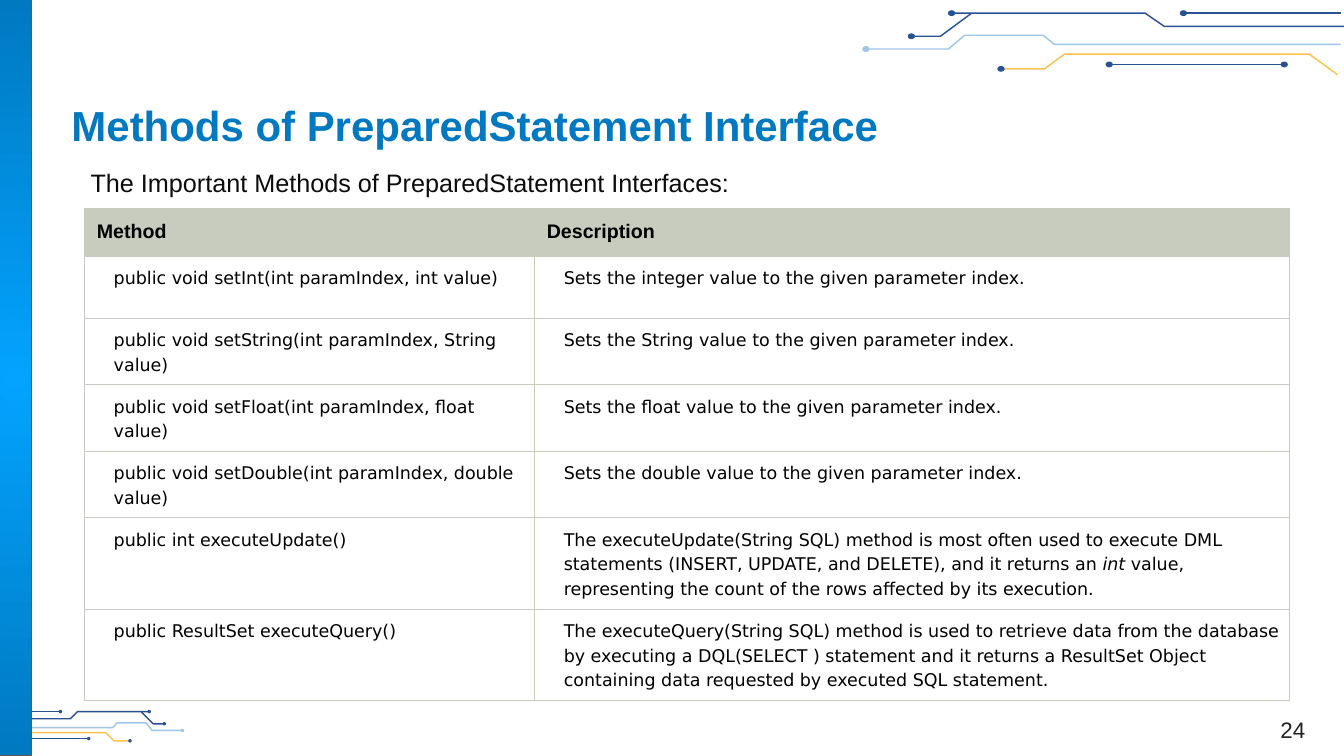
from dataclasses import dataclass

from lxml import etree
from pptx import Presentation
from pptx.dml.color import RGBColor
from pptx.enum.shapes import MSO_CONNECTOR, MSO_SHAPE
from pptx.enum.text import MSO_ANCHOR, PP_ALIGN
from pptx.oxml.ns import qn
from pptx.util import Pt

RECT, OVAL, STRAIGHT = MSO_SHAPE.RECTANGLE, MSO_SHAPE.OVAL, MSO_CONNECTOR.STRAIGHT
TOP, MIDDLE, BOTTOM = MSO_ANCHOR.TOP, MSO_ANCHOR.MIDDLE, MSO_ANCHOR.BOTTOM
LEFT, CENTER = PP_ALIGN.LEFT, PP_ALIGN.CENTER


@dataclass(frozen=True)
class Theme:
    blue: str = "0079C0"
    bright: str = "03A3FF"
    navy: str = "285293"
    sky: str = "9FC5E8"
    gold: str = "FEC14F"
    sage: str = "C7CCBE"
    edge: str = "595959"
    white: str = "FFFFFF"
    black: str = "000000"
    ink: str = "0C0C0C"
    number: str = "222222"
    font: str = "Arial"
    cell_font: str = "DejaVu Sans"
    title_size: float = 30
    lead_size: float = 18
    number_size: float = 16
    header_size: float = 14
    cell_size: float = 12.5
    thin: float = 0.75
    trace: float = 1.03


def rgb(color):
    return RGBColor.from_string(color)


class Deck:
    def __init__(self, prs, theme):
        self.theme = theme
        self.s = prs.slides.add_slide(prs.slide_layouts[6])

    def outline(self, sp, color, width):
        sp.line.color.rgb = rgb(color)
        sp.line.width = Pt(width)

    def paragraph(self, tf, text, size, color, bold=False, font=None):
        """Fill the first paragraph; words between asterisks are italic."""
        p = tf.paragraphs[0]
        p.font.name = font or self.theme.font
        p.font.size = Pt(size)
        p.font.bold = bold
        p.font.color.rgb = rgb(color)
        for i, part in enumerate(text.split("*")):
            r = p.add_run()
            r.text = part
            if i % 2:
                r.font.italic = True
        return p

    def text(self, box, text, size, color, bold=False, anchor=TOP, align=LEFT, pad=7.2):
        tf = self.s.shapes.add_textbox(*map(Pt, box)).text_frame
        tf.word_wrap = True
        tf.vertical_anchor = anchor
        tf.margin_left = tf.margin_right = Pt(7.2)
        tf.margin_top = tf.margin_bottom = Pt(pad)
        p = self.paragraph(tf, text, size, color, bold)
        p.alignment = align
        return p

    def side_bar(self, box):
        sp = self.s.shapes.add_shape(RECT, *map(Pt, box))
        sp.shadow.inherit = False
        self.outline(sp, self.theme.edge, self.theme.thin)
        sp.fill.gradient()
        for stop, color in zip(sp.fill.gradient_stops, (self.theme.bright, self.theme.blue)):
            stop.color.rgb = rgb(color)
        # Radial gradient from the centre
        grad = sp.element.spPr.find(qn("a:gradFill"))
        grad.remove(grad.find(qn("a:lin")))
        radial = etree.SubElement(grad, qn("a:path"), {"path": "circle"})
        etree.SubElement(radial, qn("a:fillToRect"), dict.fromkeys("ltrb", "50000"))

    def dot(self, center, size, color):
        (x, y), (w, h) = center, size
        sp = self.s.shapes.add_shape(OVAL, Pt(x - w / 2), Pt(y - h / 2), Pt(w), Pt(h))
        sp.shadow.inherit = False
        sp.fill.solid()
        sp.fill.fore_color.rgb = rgb(color)
        self.outline(sp, color, self.theme.thin)

    def trace(self, color, points, dot_size, dot_color, both_ends=False):
        pts = [(Pt(x), Pt(y)) for x, y in points]
        if len(pts) == 2:
            sp = self.s.shapes.add_connector(STRAIGHT, *pts[0], *pts[1])
            etree.SubElement(sp.element.spPr, qn("a:effectLst"))
        else:
            builder = self.s.shapes.build_freeform(*pts[0], scale=1.0)
            builder.add_line_segments(pts[1:], close=False)
            sp = builder.convert_to_shape()
            sp.shadow.inherit = False
            sp.fill.background()
        self.outline(sp, color, self.theme.trace)
        for end in (points[0], points[-1]) if both_ends else points[-1:]:
            self.dot(end, dot_size, dot_color)

    def cell(self, cell, text, header):
        t = self.theme
        cell.fill.solid()
        cell.fill.fore_color.rgb = rgb(t.sage if header else t.white)
        pad = Pt(8.64 if header else 5.76)
        cell.margin_left = cell.margin_right = cell.margin_top = cell.margin_bottom = pad
        if header:
            self.paragraph(cell.text_frame, text, t.header_size, t.black, True)
        else:
            p = self.paragraph(cell.text_frame, text, t.cell_size, t.black, font=t.cell_font)
            p.line_spacing = 1.2
            p._p.get_or_add_pPr().set("marL", str(Pt(15)))
        tc_pr = cell._tc.get_or_add_tcPr()
        for i, side in enumerate("LRTB"):
            ln = etree.Element(qn(f"a:ln{side}"), {"w": str(Pt(t.thin))})
            fill = etree.SubElement(ln, qn("a:solidFill"))
            etree.SubElement(fill, qn("a:srgbClr"), {"val": t.sage})
            tc_pr.insert(i, ln)

    def table(self, left, top, widths, heights, rows):
        frame = self.s.shapes.add_table(len(rows), len(widths), Pt(left), Pt(top),
                                        Pt(sum(widths)), Pt(sum(heights)))
        tbl = frame.table
        for col, width in zip(tbl.columns, widths):
            col.width = Pt(width)
        for i, (row, height) in enumerate(zip(tbl.rows, heights)):
            row.height = Pt(height)
            for cell, text in zip(row.cells, rows[i]):
                self.cell(cell, text, header=i == 0)


T = Theme()

# Circuit traces: line colour, points, dot colour, dots at both ends
BOTTOM_TRACES = [
    (T.navy, [(2.9, 513.4), (50.4, 513.4), (55.4, 508.3), (106.6, 508.3)], T.navy, False),
    (T.navy, [(100.8, 508.3), (109.4, 517), (117.4, 517)], T.navy, False),
    (T.navy, [(0, 508.3), (43.2, 508.3)], T.navy, False),
    (T.gold, [(0.7, 531.4), (8.6, 523.4), (75.6, 523.4), (81.4, 529.2), (92.9, 529.2)],
     T.navy, False),
    (T.navy, [(15.1, 527.6), (63.4, 527.6)], T.navy, True),
    (T.sky, [(5.8, 519.8), (80.6, 519.8), (83.5, 516.4), (104.4, 516.4), (108.7, 521.8),
             (130.3, 521.8)], T.sky, False),
]
TOP_TRACES = [
    (T.navy, [(960, 18.8), (831.6, 18.8), (818, 9.4), (679.7, 9.4)], T.navy, False),
    (T.navy, [(694.1, 9.4), (671.8, 25.9), (651, 25.9)], T.navy, False),
    (T.navy, [(957.6, 9.4), (845.3, 9.4)], T.navy, False),
    (T.gold, [(955.4, 53.4), (935.3, 38.7), (760.3, 38.7), (746, 49.2), (715, 49.2)],
     T.navy, False),
    (T.navy, [(917.3, 46.1), (792.3, 46.1)], T.navy, True),
    (T.sky, [(957.6, 31.7), (753.1, 31.7), (745.2, 25.2), (689, 25.2), (677.5, 35),
             (618.5, 35)], T.sky, False),
]
METHODS = [
    ("Method", "Description"),
    ("public void setInt(int paramIndex, int value)",
     "Sets the integer value to the given parameter index."),
    ("public void setString(int paramIndex, String value)",
     "Sets the String value to the given parameter index."),
    ("public void setFloat(int paramIndex, float value)",
     "Sets the float value to the given parameter index."),
    ("public void setDouble(int paramIndex, double value)",
     "Sets the double value to the given parameter index."),
    ("public int executeUpdate()",
     "The executeUpdate(String SQL) method is most often used to execute DML statements "
     "(INSERT, UPDATE, and DELETE), and it returns an *int* value, representing the count "
     "of the rows aﬀected by its execution."),
    ("public ResultSet executeQuery()",
     "The executeQuery(String SQL) method is used to retrieve data from the database by "
     "executing a DQL(SELECT ) statement and it returns a ResultSet Object containing data "
     "requested by executed SQL statement."),
]


def main():
    prs = Presentation()
    prs.slide_width, prs.slide_height = Pt(960), Pt(540)
    deck = Deck(prs, T)

    # Circuit decoration and side bar
    for traces, dot_size in ((BOTTOM_TRACES, (1.7, 1.7)), (TOP_TRACES, (4.4, 3.4))):
        for color, points, dot_color, both_ends in traces:
            deck.trace(color, points, dot_size, dot_color, both_ends)
    deck.side_bar((0, 0, 22.5, 540))

    # Title, lead line and slide number
    deck.text((44, 61.3, 852.5, 55.4), "Methods of PreparedStatement Interface",
              T.title_size, T.blue, bold=True, anchor=MIDDLE)
    lead = deck.text((57.6, 112.4, 852.5, 32.4),
                     "The Important Methods of PreparedStatement Interfaces:",
                     T.lead_size, T.ink)
    lead.space_before = Pt(10)
    deck.text((892.8, 491.8, 61.2, 42.5), "24", T.number_size, T.number,
              anchor=BOTTOM, align=CENTER, pad=3.6)

    # Table of methods
    deck.table(60.5, 149, (321.5, 539.3), (33.3, 44.2, 39, 44, 36.7, 52.6, 52.6), METHODS)
    prs.save("out.pptx")


if __name__ == "__main__":
    main()
